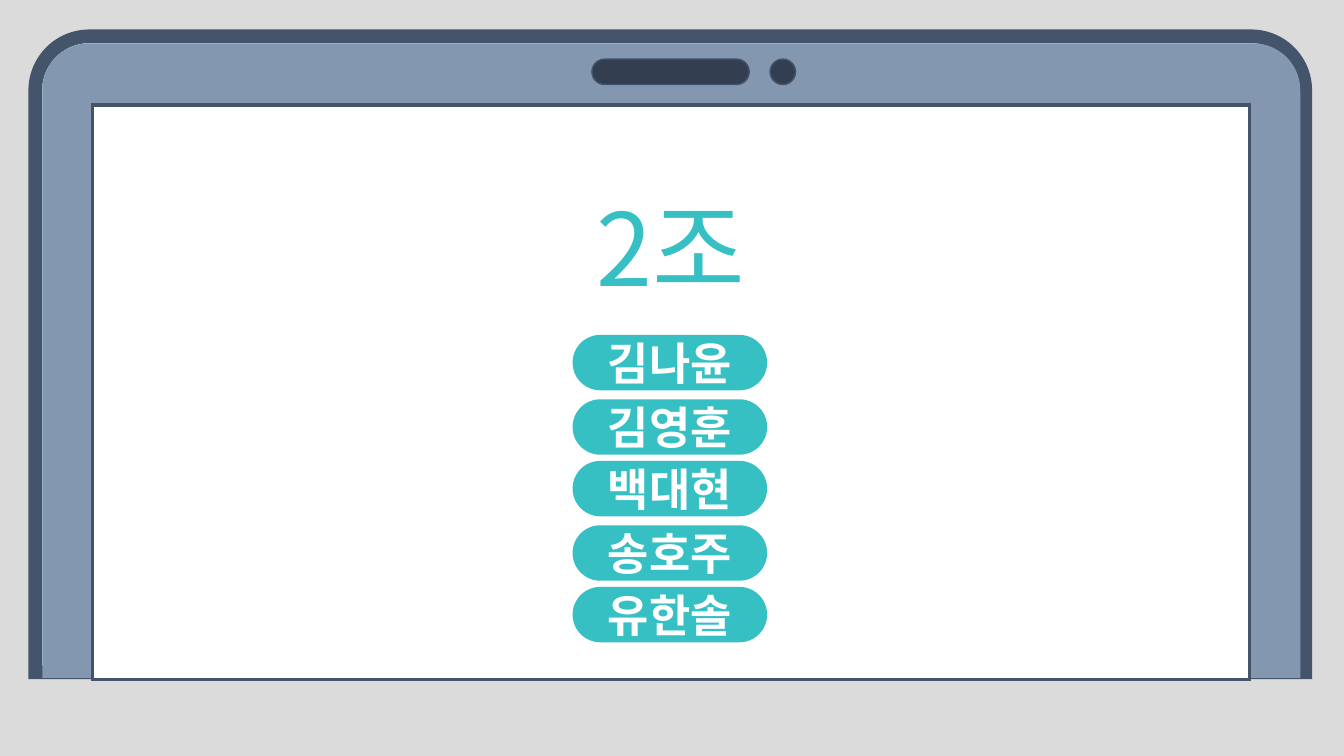
"""Build a team slide: a laptop screen listing the members of group 2."""
from lxml.etree import SubElement
from pptx import Presentation
from pptx.dml.color import RGBColor
from pptx.enum.shapes import MSO_SHAPE as SHAPE
from pptx.enum.text import MSO_ANCHOR as ANCHOR, MSO_AUTO_SIZE as AUTO_SIZE, PP_ALIGN as ALIGN
from pptx.oxml.ns import qn
from pptx.util import Pt

FONT = "Noto Sans CJK KR"
COLORS = {
    "background": "DBDBDB",
    "edge": "44546A",
    "backing": "DEF5F9",
    "bezel": "8497B0",
    "camera": "333F50",
    "teal": "36C0C3",
    "white": "FFFFFF",
}
MEMBERS = ["김나윤", "김영훈", "백대현", "송호주", "유한솔"]


def add_block(kind, box, fill, line_width=0, adjustments=()):
    shape = slide.shapes.add_shape(kind, *[Pt(length) for length in box])
    shape.shadow.inherit = False
    shape.fill.solid()
    shape.fill.fore_color.rgb = RGBColor.from_string(COLORS[fill])
    for index, value in enumerate(adjustments):
        shape.adjustments[index] = value
    if line_width:
        shape.line.color.rgb = RGBColor.from_string(COLORS["edge"])
        shape.line.width = Pt(line_width)
        SubElement(shape.line._get_or_add_ln(), qn("a:miter"), lim="800000")
    else:
        shape.line.fill.background()
    return shape


def write_text(shape, text, size, color, bold=False):
    paragraph = shape.text_frame.paragraphs[0]
    paragraph.alignment = ALIGN.CENTER
    run = paragraph.add_run()
    run.text = text
    run.font.size = Pt(size)
    run.font.bold = bold
    run.font.color.rgb = RGBColor.from_string(COLORS[color])
    run.font.name = FONT
    SubElement(run.font._element, qn("a:ea"), typeface=FONT)


presentation = Presentation()
presentation.slide_width = Pt(960)
presentation.slide_height = Pt(540)
slide = presentation.slides.add_slide(presentation.slide_layouts[6])
slide.background.fill.solid()
slide.background.fill.fore_color.rgb = RGBColor.from_string(COLORS["background"])

add_block(SHAPE.ROUND_2_SAME_RECTANGLE, (25.2, 25.9, 907.2, 454.3), "backing", 9.75, (0.085, 0))
add_block(SHAPE.ROUND_2_SAME_RECTANGLE, (30.2, 31, 898.6, 453.2), "bezel", 0, (0.074, 0))
add_block(SHAPE.RECTANGLE, (66.4, 75, 826.4, 410.4), "white", 2.25)
add_block(SHAPE.ROUNDED_RECTANGLE, (422.8, 42.2, 112.4, 18.2), "camera", 1, (0.5,))
add_block(SHAPE.OVAL, (550.1, 42.2, 18.2, 18.2), "camera", 1)

title = slide.shapes.add_textbox(Pt(409), Pt(128.9), Pt(140.4), Pt(118.1))
title.text_frame.word_wrap = False
title.text_frame.auto_size = AUTO_SIZE.SHAPE_TO_FIT_TEXT
write_text(title, "2조", 72, "teal")

for index, member in enumerate(MEMBERS):
    top = 239.2 + 45 * index + index % 2
    pill = add_block(SHAPE.ROUNDED_RECTANGLE, (409, top, 139, 39.6), "teal", 0, (0.5,))
    pill.text_frame.vertical_anchor = ANCHOR.MIDDLE
    write_text(pill, member, 32, "white", True)

presentation.save("out.pptx")
